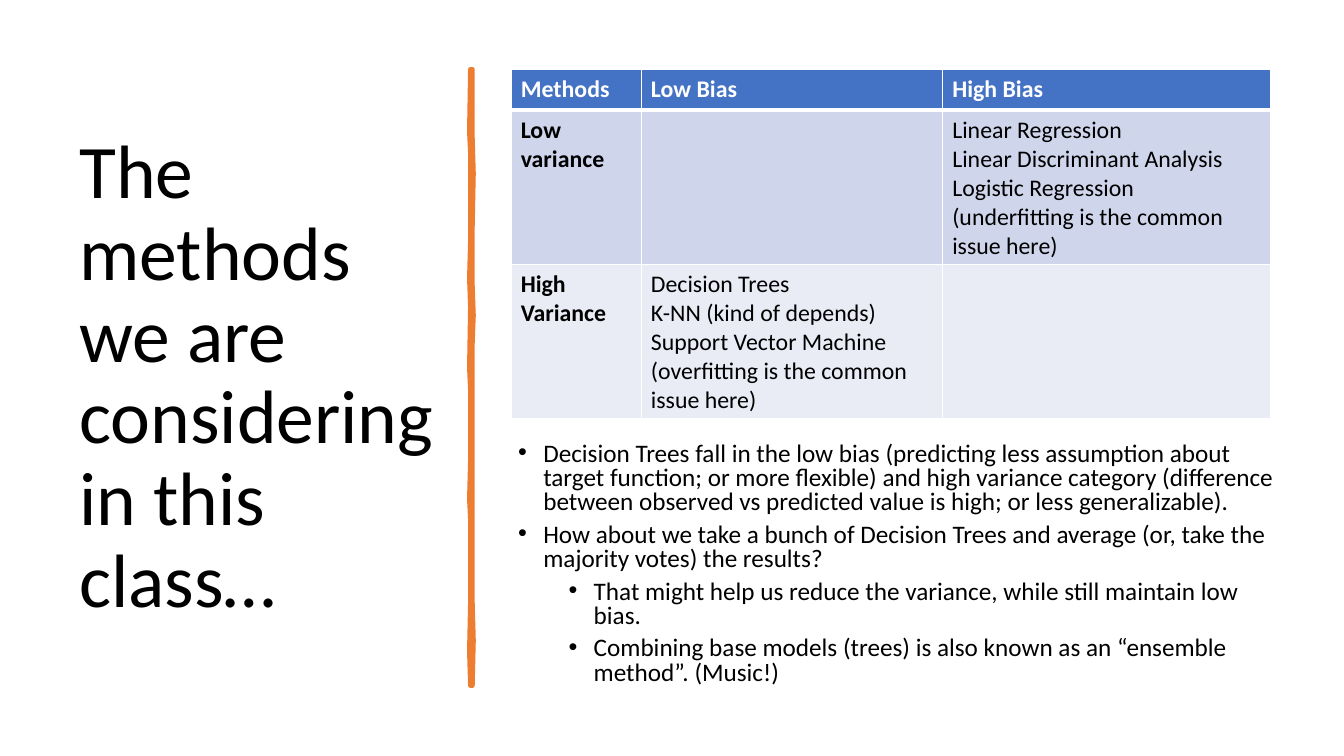
from dataclasses import dataclass

from lxml import etree
from pptx import Presentation
from pptx.dml.color import RGBColor
from pptx.enum.text import MSO_ANCHOR, MSO_AUTO_SIZE, PP_ALIGN
from pptx.oxml.ns import qn
from pptx.slide import Slide
from pptx.table import _Cell
from pptx.text.text import _Paragraph
from pptx.util import Emu, Pt

EMU_PER_PX = 9525
TITLE_ONLY = 5
LEFT = PP_ALIGN.LEFT
TOP = MSO_ANCHOR.TOP
MIDDLE = MSO_ANCHOR.MIDDLE
NO_AUTOFIT = MSO_AUTO_SIZE.NONE

FONT = "Calibri"
BLACK = RGBColor(0x00, 0x00, 0x00)
WHITE = RGBColor(0xFF, 0xFF, 0xFF)
BLUE = RGBColor(0x44, 0x72, 0xC4)
ORANGE = RGBColor(0xED, 0x7D, 0x31)
BAND_DARK = RGBColor(0xCF, 0xD5, 0xEA)
BAND_LIGHT = RGBColor(0xE9, 0xEB, 0xF5)


@dataclass(frozen=True)
class Box:
    left: int
    top: int
    width: int
    height: int


@dataclass(frozen=True)
class MethodRow:
    height: int
    fill: RGBColor
    color: RGBColor
    cells: tuple[str, str, str]


@dataclass(frozen=True)
class Bullet:
    text: str
    level: int = 0


TITLE = "The methods we are considering in this class…"
TITLE_BOX = Box(66, 67, 359, 587)
TABLE_BOX = Box(487, 66, 723, 333)
BULLETS_BOX = Box(478, 417, 752, 259)
COLUMN_WIDTHS = (124, 287, 312)

METHOD_ROWS = (
    MethodRow(39, BLUE, WHITE, ("Methods", "Low Bias", "High Bias")),
    MethodRow(147, BAND_DARK, BLACK, (
        "Low variance",
        "",
        "Linear Regression\nLinear Discriminant Analysis\nLogistic Regression\n"
        "(underfitting is the common issue here)",
    )),
    MethodRow(147, BAND_LIGHT, BLACK, (
        "High Variance",
        "Decision Trees\nK-NN (kind of depends)\nSupport Vector Machine\n"
        "(overfitting is the common issue here)",
        "",
    )),
)

BULLETS = (
    Bullet("Decision Trees fall in the low bias (predicting less assumption about "
           "target function; or more flexible) and high variance category (difference "
           "between observed vs predicted value is high; or less generalizable)."),
    Bullet("How about we take a bunch of Decision Trees and average (or, take the "
           "majority votes) the results?"),
    Bullet("That might help us reduce the variance, while still maintain low bias.", 1),
    Bullet("Combining base models (trees) is also known as an “ensemble method”. (Music!)", 1),
)

DIVIDER_LEFT_EDGE = (
    (448, 66), (447, 125), (448, 146), (448, 230), (447, 265), (448, 292), (447, 350),
    (448, 372), (448, 439), (447, 475), (448, 495), (448, 574), (447, 620), (448, 653),
)
DIVIDER_RIGHT_EDGE = (
    (450, 653), (451, 610), (450, 574), (450, 518), (450, 463), (450, 400), (450, 327),
    (451, 300), (450, 272), (450, 216), (451, 165), (450, 131), (450, 66),
)


def px(length: int) -> Emu:
    return Emu(length * EMU_PER_PX)


def style(paragraph: _Paragraph, size: int, color: RGBColor, bold: bool = False) -> None:
    paragraph.alignment = LEFT
    paragraph.font.name = FONT
    paragraph.font.size = Pt(size)
    paragraph.font.bold = bold
    paragraph.font.color.rgb = color


def add_title(slide: Slide) -> None:
    title = slide.shapes.title
    title.left, title.top = px(TITLE_BOX.left), px(TITLE_BOX.top)
    title.width, title.height = px(TITLE_BOX.width), px(TITLE_BOX.height)
    frame = title.text_frame
    frame.text = TITLE
    frame.word_wrap = True
    frame.auto_size = NO_AUTOFIT
    frame.vertical_anchor = MIDDLE
    style(frame.paragraphs[0], 54, BLACK)
    frame.paragraphs[0].line_spacing = 0.9


def add_divider(slide: Slide) -> None:
    start, *outline = DIVIDER_LEFT_EDGE + DIVIDER_RIGHT_EDGE
    builder = slide.shapes.build_freeform(*start, scale=EMU_PER_PX)
    builder.add_line_segments(outline, close=True)
    divider = builder.convert_to_shape()
    divider.shadow.inherit = False
    divider.fill.solid()
    divider.fill.fore_color.rgb = ORANGE
    divider.line.color.rgb = ORANGE
    divider.line.width = Pt(3.25)
    etree.SubElement(divider.line._get_or_add_ln(), qn("a:round"))


def add_bullets(slide: Slide) -> None:
    box = BULLETS_BOX
    frame = slide.shapes.add_textbox(
        px(box.left), px(box.top), px(box.width), px(box.height)).text_frame
    frame.word_wrap = True
    frame.text = "\n".join(bullet.text for bullet in BULLETS)
    for paragraph, bullet in zip(frame.paragraphs, BULLETS):
        style(paragraph, 18, BLACK)
        paragraph.level = bullet.level
        paragraph.line_spacing = 0.8
        paragraph.space_after = Pt(6)
        properties = paragraph._p.get_or_add_pPr()
        properties.set("marL", str(px(30 + 48 * bullet.level)))
        properties.set("indent", str(px(-24)))
        marker_font = etree.Element(qn("a:buFont"), typeface="Arial")
        marker = etree.Element(qn("a:buChar"), char="•")
        properties.find(qn("a:defRPr")).addprevious(marker_font)
        marker_font.addnext(marker)


def set_borders(cell: _Cell, top: int, bottom: int) -> None:
    properties = cell._tc.get_or_add_tcPr()
    widths = {"lnL": 1, "lnR": 1, "lnT": top, "lnB": bottom}
    for position, (side, width) in enumerate(widths.items()):
        border = etree.Element(qn(f"a:{side}"), w=str(Pt(width)))
        fill = etree.SubElement(border, qn("a:solidFill"))
        etree.SubElement(fill, qn("a:srgbClr"), val=str(WHITE))
        properties.insert(position, border)


def add_methods_table(slide: Slide) -> None:
    box = TABLE_BOX
    table = slide.shapes.add_table(
        len(METHOD_ROWS), len(COLUMN_WIDTHS),
        px(box.left), px(box.top), px(box.width), px(box.height)).table
    for column, width in zip(table.columns, COLUMN_WIDTHS):
        column.width = px(width)
    for r, row in enumerate(METHOD_ROWS):
        table.rows[r].height = px(row.height)
        for c, text in enumerate(row.cells):
            cell = table.cell(r, c)
            cell.text = text
            cell.vertical_anchor = TOP
            cell.margin_left = cell.margin_right = px(9)
            cell.margin_top = cell.margin_bottom = px(5)
            cell.fill.solid()
            cell.fill.fore_color.rgb = row.fill
            set_borders(cell, top=3 if r == 1 else 1, bottom=3 if r == 0 else 1)
            for paragraph in cell.text_frame.paragraphs:
                style(paragraph, 17, row.color, bold=r == 0 or c == 0)


def main() -> None:
    presentation = Presentation()
    presentation.slide_width, presentation.slide_height = px(1280), px(720)
    slide = presentation.slides.add_slide(presentation.slide_layouts[TITLE_ONLY])
    add_title(slide)
    add_divider(slide)
    add_bullets(slide)
    add_methods_table(slide)
    presentation.save("out.pptx")


if __name__ == "__main__":
    main()
